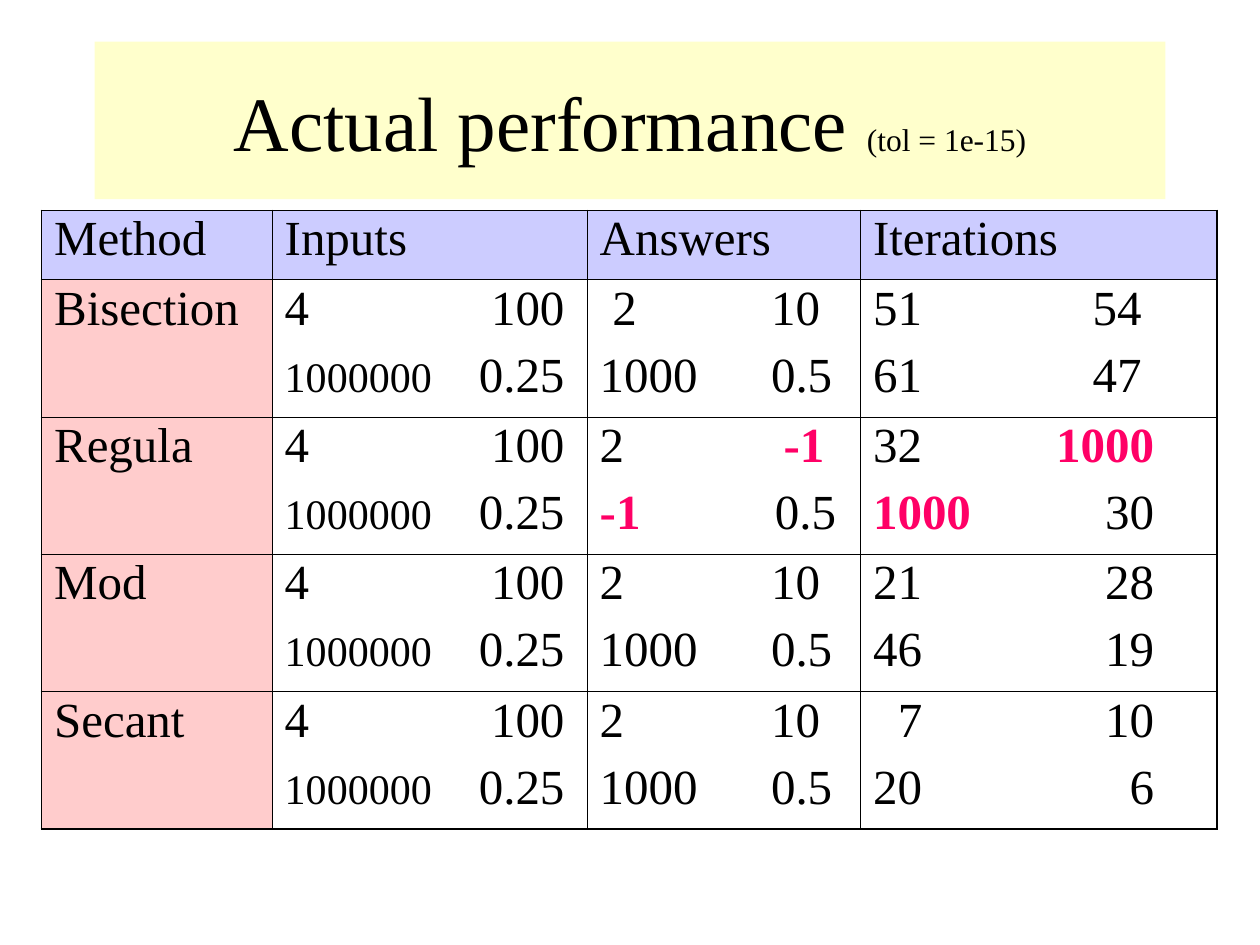
from lxml import etree
from pptx import Presentation
from pptx.dml.color import RGBColor
from pptx.enum.text import MSO_ANCHOR, MSO_AUTO_SIZE, PP_ALIGN
from pptx.oxml.ns import qn
from pptx.util import Inches, Pt

CENTER, MIDDLE, NO_FIT = PP_ALIGN.CENTER, MSO_ANCHOR.MIDDLE, MSO_AUTO_SIZE.NONE
BLACK = RGBColor(0x00, 0x00, 0x00)
PINK = RGBColor(0xFF, 0x00, 0x66)
CREAM = RGBColor(0xFF, 0xFF, 0xCC)
LAVENDER = RGBColor(0xCC, 0xCC, 0xFF)
ROSE = RGBColor(0xFF, 0xCC, 0xCC)
FONT = "Times New Roman"
THICK, THIN = 1.08, 0.45


def add_run(p, text, size=28, color=BLACK, bold=False):
    r = p.add_run()
    r.text = text
    r.font.name, r.font.size, r.font.bold = FONT, Pt(size), bold
    r.font.color.rgb = color


def failed(text):
    return text, {"color": PINK, "bold": True}


def line(*values, tabs=()):
    """A line of a cell: values split by tabs; stops are (inches, alignment)."""
    return values, tabs


class Deck:
    def __init__(self, prs):
        self.s = prs.slides.add_slide(prs.slide_layouts[5])

    def title(self, runs, x, y, w, h):
        sp = self.s.shapes.title
        sp.left, sp.top, sp.width, sp.height = map(Inches, (x, y, w, h))
        sp.fill.solid()
        sp.fill.fore_color.rgb = CREAM
        tf = sp.text_frame
        tf.auto_size, tf.vertical_anchor, tf.word_wrap = NO_FIT, MIDDLE, True
        p = tf.paragraphs[0]
        p.alignment = CENTER
        for text, size in runs:
            add_run(p, text, size=size)

    def borders(self, cell, **widths):
        tc_pr = cell._tc.get_or_add_tcPr()
        for side in "LRTB":
            ln = etree.SubElement(tc_pr, qn(f"a:ln{side}"), w=str(Pt(widths[side])))
            fill = etree.SubElement(ln, qn("a:solidFill"))
            etree.SubElement(fill, qn("a:srgbClr"), val=str(BLACK))

    def cell_line(self, p, values, tabs):
        if tabs:
            tab_list = etree.SubElement(p._p.get_or_add_pPr(), qn("a:tabLst"))
            for pos, align in tabs:
                etree.SubElement(tab_list, qn("a:tab"), pos=str(Inches(pos)), algn=align)
        p.line_spacing = 0.9
        for i, value in enumerate(values):
            text, fmt = (value, {}) if isinstance(value, str) else value
            add_run(p, "\t" + text if i else text, **fmt)

    def table(self, rows, x, y, widths, heights):
        frame = self.s.shapes.add_table(
            len(rows), len(widths), Inches(x), Inches(y),
            Inches(sum(widths)), Inches(sum(heights)))
        tbl = frame.table
        tbl.first_row = tbl.horz_banding = False
        for col, w in zip(tbl.columns, widths):
            col.width = Inches(w)
        for row, h in zip(tbl.rows, heights):
            row.height = Inches(h)
        last_row, last_col = len(rows) - 1, len(widths) - 1
        for i, row in enumerate(rows):
            for j, lines in enumerate(row):
                cell = tbl.cell(i, j)
                self.borders(cell,
                             L=THIN if j else THICK,
                             R=THICK if j == last_col else THIN,
                             T=THIN if i else THICK,
                             B=THICK if i == last_row else THIN)
                if i and j:
                    cell.fill.background()
                else:
                    cell.fill.solid()
                    cell.fill.fore_color.rgb = ROSE if i else LAVENDER
                tf = cell.text_frame
                for k, (values, tabs) in enumerate(lines):
                    p = tf.add_paragraph() if k else tf.paragraphs[0]
                    if k:
                        p.space_before = Pt(10.5)
                    self.cell_line(p, values, tabs)


# Tab stops of the three number columns
INPUT = [(2.22, "r")]
ANSWER = [(1.36, "l")]
COUNT = [(2.23, "r")]
COUNT_NEAR = [(2.13, "r")]

INPUTS = [line("4", "100", tabs=INPUT),
          line(("1000000", {"size": 24}), "0.25", tabs=INPUT)]
ROOTS = [line("2", "10", tabs=ANSWER), line("1000", "0.5", tabs=ANSWER)]

ROWS = [
    [[line(name)] for name in ("Method", "Inputs", "Answers", "Iterations")],
    [[line("Bisection")], INPUTS,
     [line("", "2", "10", tabs=[(0.1, "l")] + ANSWER), ROOTS[1]],
     [line("51", "54", tabs=COUNT_NEAR), line("61", "47", tabs=COUNT_NEAR)]],
    [[line("Regula")], INPUTS,
     [line("2", failed("-1"), tabs=[(1.46, "l")]),
      line(failed("-1"), "0.5", tabs=[(1.39, "l")])],
     [line("32", failed("1000"), tabs=COUNT), line(failed("1000"), "30", tabs=COUNT)]],
    [[line("Mod")], INPUTS, ROOTS,
     [line("21", "28", tabs=COUNT), line("46", "19", tabs=COUNT)]],
    [[line("Secant")], INPUTS, ROOTS,
     [line("", "7", "10", tabs=[(0.39, "r")] + COUNT), line("20", "6", tabs=COUNT)]],
]


def main():
    prs = Presentation()
    prs.slide_width, prs.slide_height = Inches(10), Inches(7.5)
    deck = Deck(prs)
    # Title band
    deck.title([("Actual performance ", 44), ("(tol = 1e-15)", 18)], 0.75, 0.33, 8.5, 1.25)
    # Results by method
    deck.table(ROWS, 0.33, 1.67, [1.83, 2.5, 2.17, 2.83], [0.55] + [1.09] * 4)
    prs.save("out.pptx")


if __name__ == "__main__":
    main()
